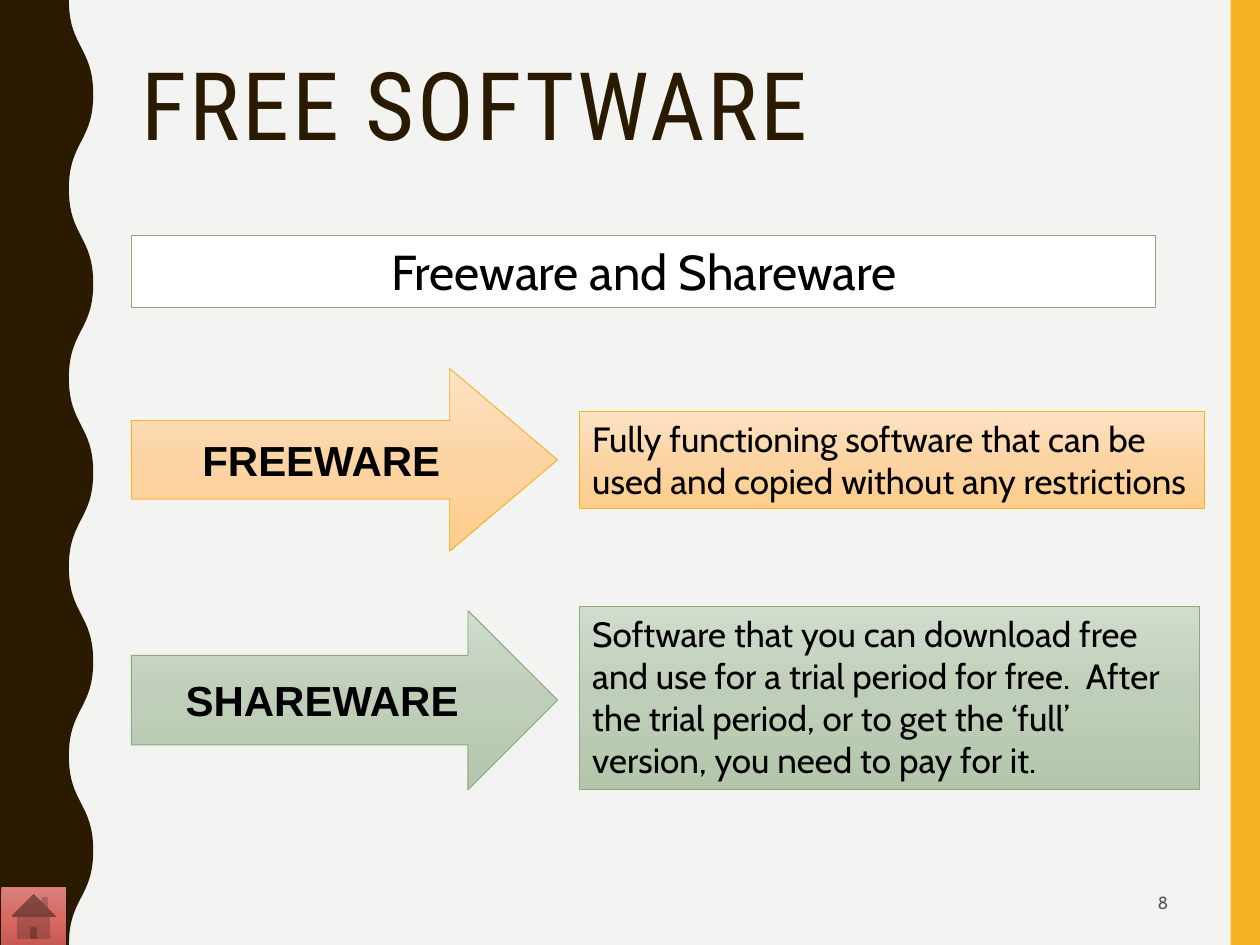
from copy import deepcopy
from dataclasses import dataclass, field
from typing import Any, Optional

from lxml import etree
from pptx import Presentation
from pptx import util as u
from pptx.dml.color import RGBColor
from pptx.enum import shapes, text
from pptx.oxml.ns import qn

COLORS = {
    "back": "F3F3F2", "brown": "2A1A00", "gold": "F8B323", "green": "8CAA7E",
    "white": "FFFFFF", "black": "000000", "grey": "595959",
}
GRADIENTS = {
    "orange": ("FEE3C5", "FCD4A4", "FFCD8B"),
    "sage": ("D1DCCD", "BFCEB8", "B3C6AB"),
    "red": ("D9827D", "D86A63", "C65952"),
}
KIND = shapes.MSO_SHAPE
ALIGN = text.PP_ALIGN
ANCHOR = text.MSO_ANCHOR
BODY = {"name": "Cabin", "size": u.Pt(20)}
BANNER = {"name": "Cabin", "size": u.Pt(28)}
LABEL = {"name": "Arial", "size": u.Pt(24), "bold": True}
TITLE = {"name": "Roboto Condensed", "size": u.Pt(54)}
NUMBER = {"name": "Cabin", "size": u.Pt(10)}
LEFT, RIGHT_COLUMN, ARROW_WIDTH = 2.65, 11.69, 8.59
WAVE_IN, WAVE_OUT, WAVE_COUNT = 1.39, 1.88, 10


@dataclass
class Block:
    """A box on the slide, in centimetres, with its paint and wording."""

    box: tuple[float, float, float, float]
    kind: Optional[shapes.MSO_SHAPE] = None
    fill: str = ""
    line: str = ""
    words: str = ""
    font: dict[str, Any] = field(default_factory=dict)
    color: str = "black"
    align: text.PP_ALIGN = ALIGN.LEFT
    anchor: text.MSO_ANCHOR = ANCHOR.TOP
    adjust: tuple[float, ...] = ()


BLOCKS = [
    Block((LEFT, 4.75, 20.65, 1.45), KIND.RECTANGLE, "white", "green",
          "Freeware and Shareware", BANNER, align=ALIGN.CENTER),
    Block((RIGHT_COLUMN, 8.29, 12.6, 1.96), KIND.RECTANGLE, "orange", "gold",
          "Fully functioning software that can be used and copied without any restrictions", BODY),
    Block((LEFT, 7.43, ARROW_WIDTH, 3.68), KIND.RIGHT_ARROW, "orange", "gold", "FREEWARE",
          LABEL, align=ALIGN.CENTER, anchor=ANCHOR.MIDDLE, adjust=(0.43, 0.59)),
    Block((LEFT, 12.31, ARROW_WIDTH, 3.61), KIND.RIGHT_ARROW, "sage", "green", "SHAREWARE",
          LABEL, align=ALIGN.CENTER, anchor=ANCHOR.MIDDLE),
    Block((RIGHT_COLUMN, 12.22, 12.5, 3.69), KIND.RECTANGLE, "sage", "green",
          "Software that you can download free and use for a trial period for free.  "
          "After the trial period, or to get the ‘full’ version, you need to pay for it.", BODY),
    Block((17.93, 17.7, 5.87, 0.97), words="8", font=NUMBER, color="grey",
          align=ALIGN.RIGHT, anchor=ANCHOR.MIDDLE),
]


def rgb(name: str) -> RGBColor:
    """Look up a named colour."""
    return RGBColor.from_string(COLORS[name])


def paint(sp: Any, fill: str, line: str = "") -> None:
    """Give a shape its fill and outline, without a shadow."""
    sp.shadow.inherit = False
    if fill in GRADIENTS:
        sp.fill.gradient()
        sp.fill.gradient_angle = 270
        stops = sp.element.spPr.find(".//" + qn("a:gsLst"))
        stops.insert(1, deepcopy(stops[0]))
        for i, (stop, color) in enumerate(zip(sp.fill.gradient_stops, GRADIENTS[fill])):
            stop.position = i / 2
            stop.color.rgb = RGBColor.from_string(color)
    else:
        sp.fill.solid()
        sp.fill.fore_color.rgb = rgb(fill)
    if line:
        sp.line.color.rgb = rgb(line)
        sp.line.width = u.Pt(0.5)
    else:
        sp.line.fill.background()


def write(sp: Any, block: Block) -> None:
    """Put the wording of a block in its shape."""
    tf = sp.text_frame
    frame = {"word_wrap": True, "vertical_anchor": block.anchor}
    for key, value in frame.items():
        setattr(tf, key, value)
    p = tf.paragraphs[0]
    p.alignment = block.align
    r = p.add_run()
    r.text = block.words
    for key, value in block.font.items():
        setattr(r.font, key, value)
    r.font.color.rgb = rgb(block.color)


def draw(s: Any, block: Block) -> Any:
    """Draw one block as a preset shape or a text box."""
    box = [u.Cm(v) for v in block.box]
    if block.kind is None:
        sp = s.shapes.add_textbox(*box)
    else:
        sp = s.shapes.add_shape(block.kind, *box)
        paint(sp, block.fill, block.line)
        for i, value in enumerate(block.adjust):
            sp.adjustments[i] = value
    if block.words:
        write(sp, block)
    return sp


def draw_wave(s: Any, height: float) -> None:
    """Draw the dark side band, bending its edge with one curve per half wave."""
    step = height / WAVE_COUNT
    edge = [(u.Cm(WAVE_OUT if i % 2 else WAVE_IN), u.Cm(i * step))
            for i in range(WAVE_COUNT + 1)]
    builder = s.shapes.build_freeform(0, 0)
    builder.add_line_segments(edge + [(0, u.Cm(height))], close=True)
    sp = builder.convert_to_shape()
    paint(sp, "brown")
    lines = sp.element.spPr.findall(".//" + qn("a:lnTo"))[1:WAVE_COUNT + 1]
    for line, (x0, y0), (x1, y1) in zip(lines, edge, edge[1:]):
        curve = etree.Element(qn("a:cubicBezTo"))
        middle = (y0 + y1) // 2
        for x, y in ((x0, middle), (x1, middle), (x1, y1)):
            etree.SubElement(curve, qn("a:pt"), x=str(x), y=str(y))
        line.getparent().replace(line, curve)


def add_shadow(sp: Any) -> None:
    """Cast a soft shadow straight down."""
    effects = sp.element.spPr.find(qn("a:effectLst"))
    shadow = etree.SubElement(effects, qn("a:outerShdw"), blurRad=str(u.Pt(3)),
                              dist=str(u.Pt(2)), dir="5400000", rotWithShape="0")
    color = etree.SubElement(shadow, qn("a:srgbClr"), val=COLORS["black"])
    etree.SubElement(color, qn("a:alpha"), val="25000")


def main() -> None:
    """Build the slide and save it."""
    prs = Presentation()
    width, height = 25.4, 19.05
    prs.slide_width, prs.slide_height = u.Cm(width), u.Cm(height)
    s = prs.slides.add_slide(prs.slide_layouts[6])
    s.background.fill.solid()
    s.background.fill.fore_color.rgb = rgb("back")

    draw(s, Block((24.81, 0, 0.59, height), KIND.RECTANGLE, "gold"))
    draw_wave(s, height)
    for block in BLOCKS:
        draw(s, block)

    title = draw(s, Block((2.61, 1.07, 21.21, 4.14), words="FREE SOFTWARE",
                          font=TITLE, color="brown"))
    p = title.text_frame.paragraphs[0]
    p.line_spacing = 0.9
    p.runs[0].font._element.set("spc", "150")

    add_shadow(draw(s, Block((0.03, 17.88, 1.3, 1.19), KIND.ACTION_BUTTON_HOME, "red")))
    prs.save("out.pptx")


if __name__ == "__main__":
    main()
